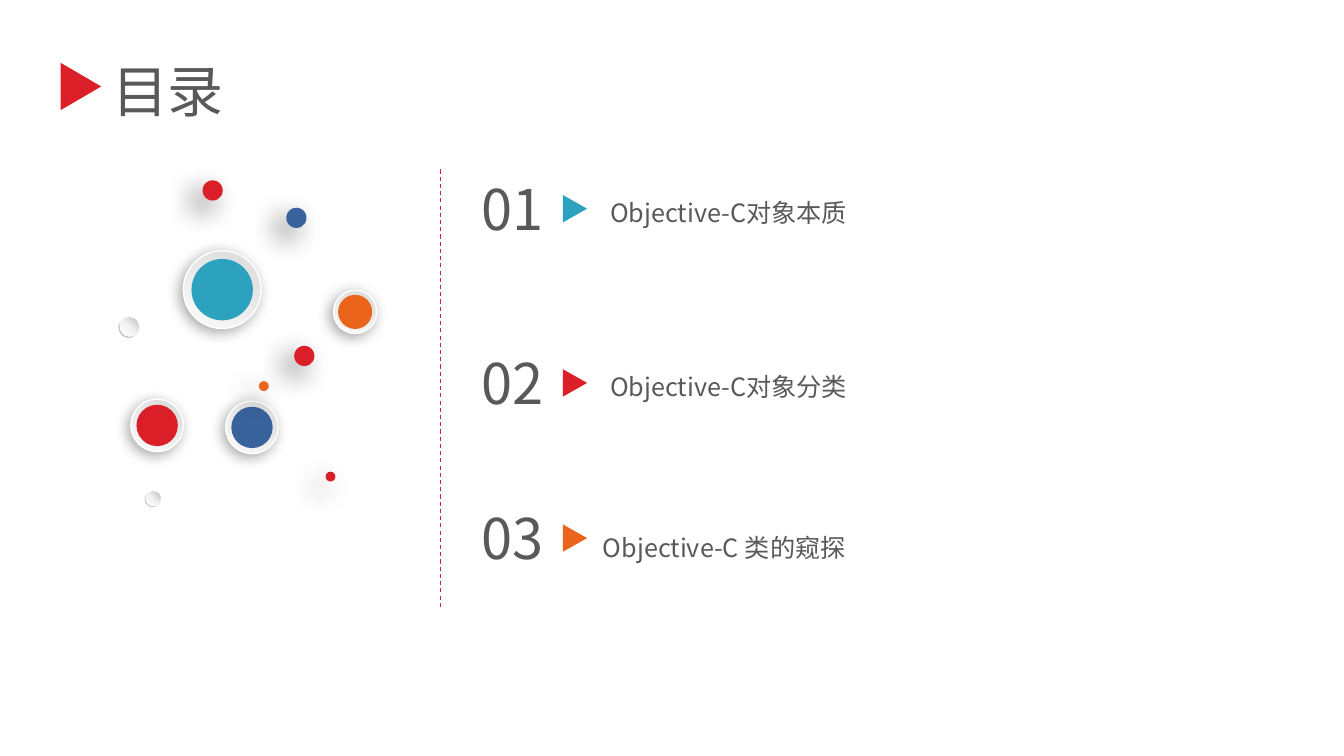
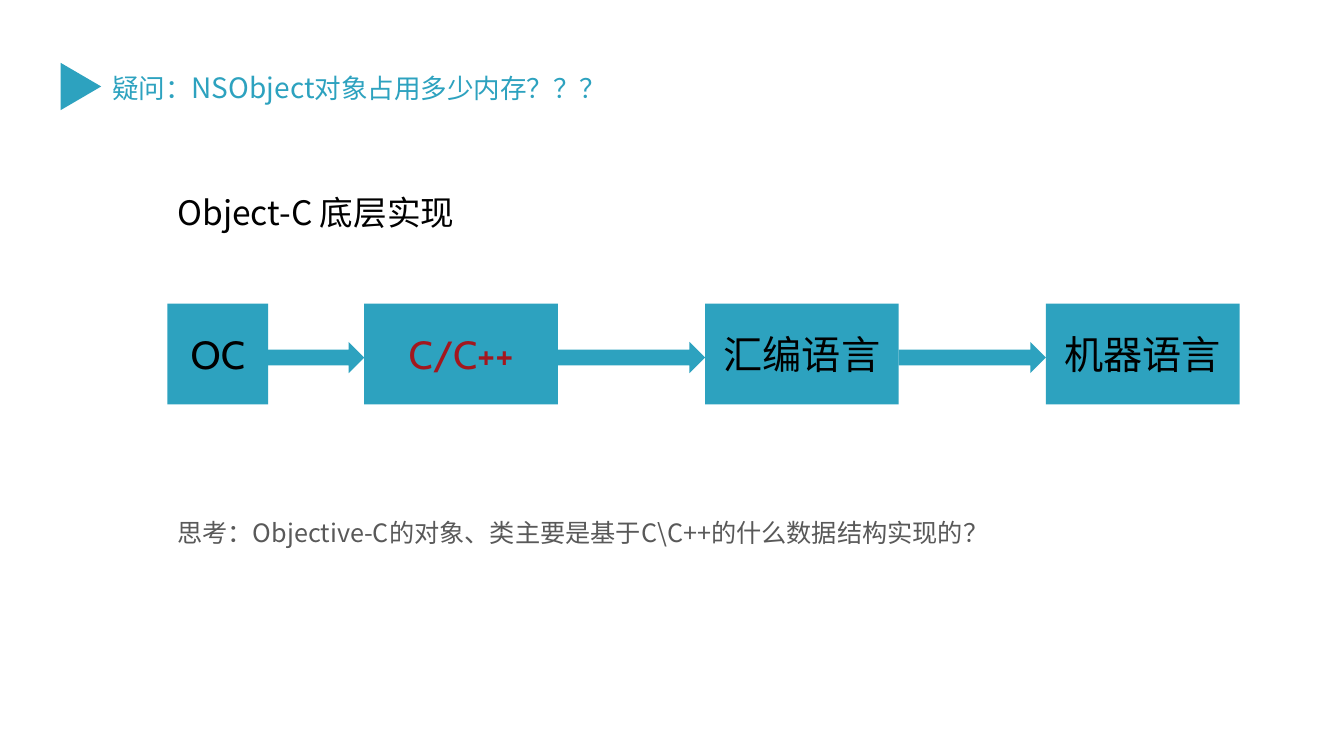
from typing import NamedTuple

from lxml.etree import SubElement
from pptx import Presentation
from pptx.dml.color import RGBColor
from pptx.enum.dml import MSO_LINE
from pptx.enum.shapes import MSO_CONNECTOR, MSO_SHAPE
from pptx.enum.text import MSO_ANCHOR, MSO_AUTO_SIZE, PP_ALIGN
from pptx.oxml.ns import qn
from pptx.util import Cm, Pt

# Shared style
COLORS = {
    "teal": "2DA2BF", "red": "DA1F28", "orange": "EB641B", "blue": "39639D",
    "gray": "595959", "black": "000000", "dark red": "A3171E", "white": "FFFFFF",
}
FONT = "Noto Sans CJK SC"
BOX_FONT = "Cabin"


class Shadow(NamedTuple):
    alpha: int
    blur: float
    dist: float
    angle: int


class Gradient(NamedTuple):
    stops: list[tuple[int, str]]
    angle: int


class Run(NamedTuple):
    text: str
    size: float
    color: str = "gray"
    font: str = FONT


class Ball(NamedTuple):
    """A circle given by its centre and diameter in cm."""
    x: float
    y: float
    size: float
    color: str = "white"


class Entry(NamedTuple):
    number: str
    text: str
    color: str
    y: float
    space: float
    indent: float


class Step(NamedTuple):
    label: str
    width: float
    gap: float
    color: str = "black"


RING_SHADOW = Shadow(34, 10, 3, 136)
DOT_SHADOW = Shadow(60, 20, 10, 135)
RING_FILL = Gradient([(0, "D9D9D9"), (100, "FCFCFC")], 120)
BEAD_RIM = Gradient([(0, "FFFFFF"), (55, "F2F2F2"), (100, "A6A6A6")], 135)
BEAD_FILL = Gradient([(0, "FFFFFF"), (51, "F2F2F2"), (100, "BFBFBF")], 315)

# Slide content
RINGS = [
    Ball(5.6, 7.3, 1.96, "teal"), Ball(3.96, 10.72, 1.32, "red"),
    Ball(6.35, 10.77, 1.32, "blue"), Ball(8.95, 7.86, 1.09, "orange"),
]
DOTS = [
    Ball(7.67, 8.97, 0.51, "red"), Ball(7.47, 5.49, 0.51, "blue"),
    Ball(8.33, 12.01, 0.25, "red"), Ball(5.36, 4.8, 0.51, "red"),
    Ball(6.65, 9.73, 0.25, "orange"),
]
BEADS = [Ball(3.86, 12.57, 0.41), Ball(3.26, 8.24, 0.53)]
ENTRIES = [
    Entry("01", "Objective-C对象本质", "teal", 5.26, 0, 0.18),
    Entry("02", "Objective-C对象分类", "red", 9.65, 85, 0.18),
    Entry("03", "Objective-C 类的窥探", "orange", 13.56, 76, 0),
]
STEPS = [
    Step("OC", 2.54, 2.42), Step("C/C++", 4.88, 3.71, "dark red"),
    Step("汇编语言", 4.88, 3.71), Step("机器语言", 4.88, 0),
]


def rgb(name: str) -> RGBColor:
    return RGBColor.from_string(COLORS[name])


# Text
def add_run(p, run: Run) -> None:
    r = p.add_run()
    r.text = run.text
    r.font.size = Pt(run.size)
    r.font.name = run.font
    r.font.color.rgb = rgb(run.color)
    ea = SubElement(r.font._element, qn("a:ea"))
    ea.set("typeface", FONT)


def place(sp, left: float, top: float, width: float, height: float) -> None:
    sp.left, sp.top, sp.width, sp.height = Cm(left), Cm(top), Cm(width), Cm(height)


def setup_frame(sp, wrap: bool = True):
    tf = sp.text_frame
    tf.word_wrap = wrap
    tf.auto_size = MSO_AUTO_SIZE.NONE
    tf.vertical_anchor = MSO_ANCHOR.TOP
    return tf


def add_text(slide, left: float, top: float, width: float, height: float,
             run: Run, wrap: bool = True) -> None:
    sp = slide.shapes.add_textbox(Cm(left), Cm(top), Cm(width), Cm(height))
    add_run(setup_frame(sp, wrap).paragraphs[0], run)


# Shapes
def add_shape(slide, kind: MSO_SHAPE, left: float, top: float, width: float,
              height: float, fill: str | Gradient, shadow: Shadow | None = None):
    sp = slide.shapes.add_shape(kind, Cm(left), Cm(top), Cm(width), Cm(height))
    sp.shadow.inherit = False
    sp.line.fill.background()
    if isinstance(fill, Gradient):
        set_gradient(sp, fill)
    else:
        sp.fill.solid()
        sp.fill.fore_color.rgb = rgb(fill)
    if shadow:
        set_shadow(sp, shadow)
    return sp


def set_gradient(sp, gradient: Gradient) -> None:
    sp.fill.gradient()
    sp.fill.gradient_angle = 360 - gradient.angle
    stops = sp._element.spPr.find(qn("a:gradFill")).find(qn("a:gsLst"))
    for old in list(stops):
        stops.remove(old)
    for position, color in gradient.stops:
        gs = SubElement(stops, qn("a:gs"), pos=str(position * 1000))
        SubElement(gs, qn("a:srgbClr"), val=color)


def set_shadow(sp, shadow: Shadow) -> None:
    effects = sp._element.spPr.find(qn("a:effectLst"))
    outer = SubElement(
        effects, qn("a:outerShdw"), blurRad=str(Pt(shadow.blur)),
        dist=str(Pt(shadow.dist)), dir=str(shadow.angle * 60000),
        algn="ctr", rotWithShape="0")
    color = SubElement(outer, qn("a:srgbClr"), val=COLORS["black"])
    SubElement(color, qn("a:alpha"), val=str(shadow.alpha * 1000))


def add_ball(slide, ball: Ball, fill: str | Gradient, scale: float = 1,
             shadow: Shadow | None = None, kind: MSO_SHAPE = MSO_SHAPE.OVAL):
    size = ball.size * scale
    return add_shape(slide, kind, ball.x - size / 2, ball.y - size / 2,
                     size, size, fill, shadow)


def add_pointer(slide, x: float, y: float, width: float, height: float,
                color: str) -> None:
    sp = add_shape(slide, MSO_SHAPE.ISOSCELES_TRIANGLE, x - width / 2,
                   y - height / 2, width, height, color)
    sp.rotation = 90


def add_heading(slide, top: float, width: float, height: float,
                runs: list[Run], color: str) -> None:
    title = slide.shapes.title
    place(title, 2.57, top, width, height)
    p = setup_frame(title).paragraphs[0]
    p.alignment = PP_ALIGN.LEFT
    for run in runs:
        add_run(p, run)
    add_pointer(slide, 2.04, 2.18, 1.19, 1.02, color)


# Contents slide
def add_bubbles(slide) -> None:
    for ring in RINGS:
        rim = add_ball(slide, ring, RING_FILL, shadow=RING_SHADOW)
        rim.line.color.rgb = rgb("white")
        rim.line.width = Pt(1)
        add_ball(slide, ring, ring.color, scale=0.79)
    for bead in BEADS:
        rim = add_ball(slide, bead, BEAD_RIM, kind=MSO_SHAPE.DONUT)
        rim.adjustments[0] = 0.05
        add_ball(slide, bead, BEAD_FILL, scale=0.9)
    for dot in DOTS:
        add_ball(slide, dot, dot.color, shadow=DOT_SHADOW)


def add_divider(slide) -> None:
    line = slide.shapes.add_connector(
        MSO_CONNECTOR.STRAIGHT, Cm(11.1), Cm(4.27), Cm(11.1), Cm(15.34))
    line.line.color.rgb = rgb("red")
    line.line.width = Pt(0.75)
    line.line.dash_style = MSO_LINE.DASH
    SubElement(line._element.spPr, qn("a:effectLst"))


def add_entries(slide) -> None:
    body = slide.placeholders[1]
    place(body, 14.94, 4.24, 11.63, 10.41)
    tf = setup_frame(body)
    for i, entry in enumerate(ENTRIES):
        p = tf.add_paragraph() if i else tf.paragraphs[0]
        p.line_spacing = Pt(39)
        p.space_before = Pt(entry.space)
        pPr = p._p.get_or_add_pPr()
        pPr.set("marL", str(Cm(entry.indent)))
        pPr.set("indent", "0")
        SubElement(pPr, qn("a:buNone"))
        add_run(p, Run(entry.text, 18))
        add_pointer(slide, 14.49, entry.y, 0.69, 0.61, entry.color)
        add_text(slide, 11.89, entry.y - 0.99, 2.29, 1.96, Run(entry.number, 40))


def build_contents(prs) -> None:
    slide = prs.slides.add_slide(prs.slide_layouts[1])
    add_heading(slide, 1.3, 8.28, 1.96, [Run("目录", 40)], "red")
    add_bubbles(slide)
    add_divider(slide)
    add_entries(slide)


# Question slide
def add_flow(slide, left: float, top: float, height: float) -> None:
    arrow_height = 0.79
    for step in STEPS:
        sp = add_shape(slide, MSO_SHAPE.RECTANGLE, left, top, step.width,
                       height, "teal")
        tf = setup_frame(sp)
        tf.vertical_anchor = MSO_ANCHOR.MIDDLE
        tf.margin_left = tf.margin_right = Cm(0.08)
        tf.margin_top = tf.margin_bottom = Cm(0.08)
        p = tf.paragraphs[0]
        p.alignment = PP_ALIGN.CENTER
        add_run(p, Run(step.label, 28, step.color, BOX_FONT))
        left += step.width
        if step.gap:
            add_shape(slide, MSO_SHAPE.RIGHT_ARROW, left,
                      top + 0.02 + (height - arrow_height) / 2 + 0.07,
                      step.gap, arrow_height, "teal")
        left += step.gap


def build_question(prs) -> None:
    slide = prs.slides.add_slide(prs.slide_layouts[5])
    add_heading(slide, 1.65, 15.21, 1.12, [
        Run("疑问：", 19, "teal"), Run("NSObject", 20, "teal"),
        Run("对象占用多少内存？？？", 19, "teal"),
    ], "teal")
    add_text(slide, 4.22, 4.72, 7.77, 1.27,
             Run("Object-C 底层实现", 24, "black"), wrap=False)
    add_flow(slide, 4.22, 7.65, 2.54)
    add_text(slide, 4.22, 12.9, 27.03, 1.8, Run(
        "思考：Objective-C的对象、类主要是基于C\\C++的什么数据结构实现的？", 18))


def main() -> None:
    prs = Presentation()
    prs.slide_width, prs.slide_height = Cm(33.87), Cm(19.05)
    build_contents(prs)
    build_question(prs)
    prs.save("out.pptx")


if __name__ == "__main__":
    main()
